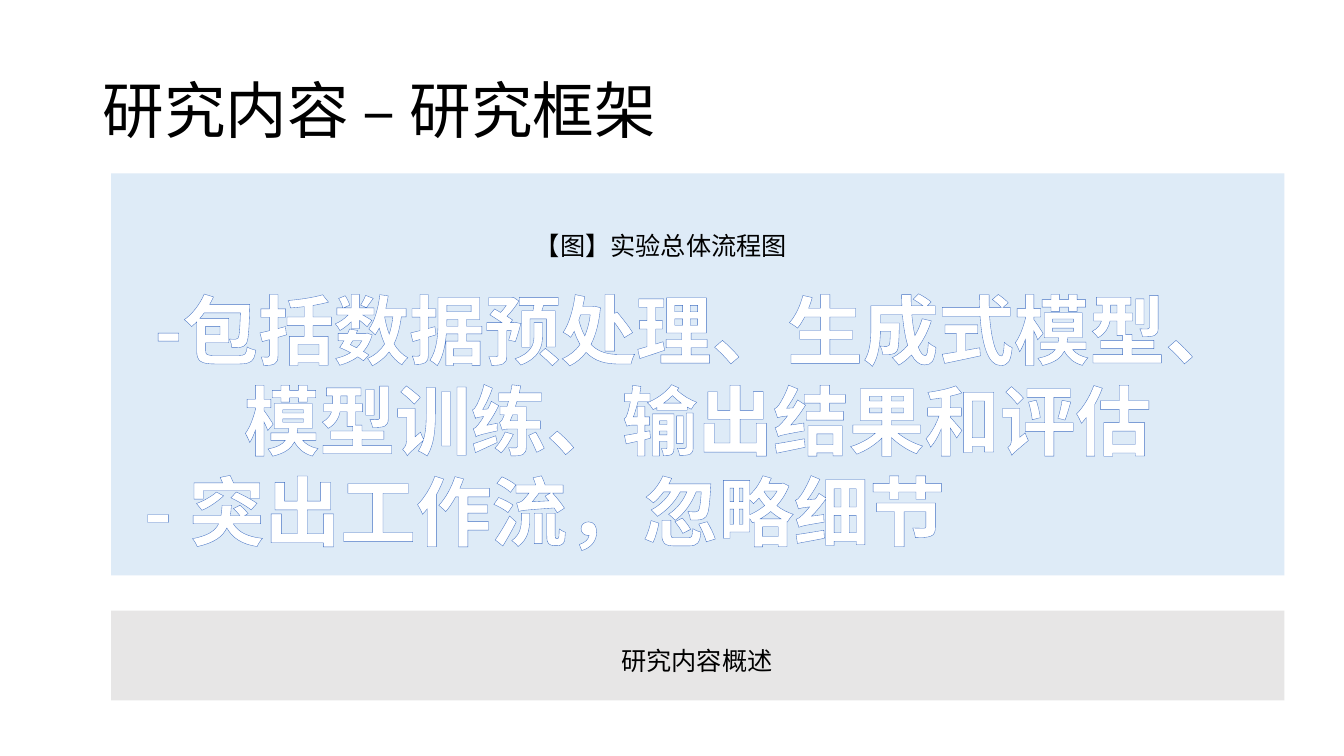
from dataclasses import dataclass

from lxml import etree
from pptx import Presentation
from pptx import util as u
from pptx.dml.color import RGBColor
from pptx.enum import shapes, text
from pptx.oxml import ns


# Colours, font and type sizes
@dataclass(frozen=True)
class Theme:
    font: str = "Noto Sans CJK SC"
    ink: str = "000000"
    white: str = "FFFFFF"
    edge: str = "4472C4"
    blue: str = "DEEBF7"
    grey: str = "E7E6E6"
    head: int = 44
    big: int = 54
    body: int = 18


@dataclass(frozen=True)
class Box:
    left: float
    top: float
    width: float
    height: float

    def area(self) -> tuple:
        return tuple(u.Cm(n) for n in (self.left, self.top, self.width, self.height))


@dataclass(frozen=True)
class Panel:
    box: Box
    fill: str


@dataclass(frozen=True)
class Label:
    box: Box
    words: str


T = Theme()
LEFT, MID = text.PP_ALIGN.LEFT, text.PP_ALIGN.CENTER

# Slide content, in centimetres
HEAD = Label(Box(2.33, 1.02, 29.21, 3.68), "研究内容 – 研究框架")
PANELS = [
    Panel(Box(2.8, 4.37, 29.57, 10.13), T.blue),
    Panel(Box(2.8, 15.39, 29.57, 2.26), T.grey),
]
LABELS = [
    Label(Box(12.4, 5.69, 8.51, 1.02), "【图】实验总体流程图"),
    Label(Box(14.15, 16.13, 6.83, 1.02), "研究内容概述"),
]
STEPS = Box(3.38, 7.01, 28.4, 7.19)
LINES = [
    ("-包括数据预处理、生成式模型、", MID),
    ("模型训练、输出结果和评估", MID),
    ("- 突出工作流，忽略细节", LEFT),
]


def write(para, words: str, size: int = T.body, color: str = T.ink,
          align=MID, bold: bool = False, edge: str = "") -> None:
    """Put formatted text in a paragraph."""
    para.alignment = align
    run = para.add_run()
    run.text = words
    font = run.font
    font.size, font.bold, font.name = u.Pt(size), bold, T.font
    font.color.rgb = RGBColor.from_string(color)
    props = run._r.get_or_add_rPr()
    etree.SubElement(props, ns.qn("a:ea")).set("typeface", T.font)
    if edge:
        line = etree.Element(ns.qn("a:ln"), w=str(u.Pt(0.8)))
        fill = etree.SubElement(line, ns.qn("a:solidFill"))
        etree.SubElement(fill, ns.qn("a:srgbClr")).set("val", edge)
        props.insert(0, line)


def panel(slide, part: Panel) -> None:
    rect = slide.shapes.add_shape(shapes.MSO_SHAPE.RECTANGLE, *part.box.area())
    rect.shadow.inherit = False
    rect.fill.solid()
    rect.fill.fore_color.rgb = RGBColor.from_string(part.fill)
    rect.line.fill.background()


def frame(slide, box: Box, wrap: bool = True):
    body = slide.shapes.add_textbox(*box.area()).text_frame
    body.word_wrap = wrap
    body.auto_size = text.MSO_AUTO_SIZE.SHAPE_TO_FIT_TEXT
    return body


def title(slide, part: Label) -> None:
    shape = slide.shapes.title
    shape.left, shape.top, shape.width, shape.height = part.box.area()
    body = shape.text_frame
    body.vertical_anchor = text.MSO_ANCHOR.MIDDLE
    para = body.paragraphs[0]
    para.line_spacing = 0.9
    write(para, part.words, size=T.head, align=LEFT)


def steps(slide) -> None:
    body = frame(slide, STEPS, wrap=False)
    for i, (words, align) in enumerate(LINES):
        para = body.add_paragraph() if i else body.paragraphs[0]
        write(para, words, size=T.big, color=T.white, align=align,
              bold=True, edge=T.edge)


def main() -> None:
    deck = Presentation()
    deck.slide_width, deck.slide_height = u.Cm(33.87), u.Cm(19.05)
    slide = deck.slides.add_slide(deck.slide_layouts.get_by_name("Title Only"))

    # Title, then panels with their text on top
    title(slide, HEAD)
    for part in PANELS:
        panel(slide, part)
    for part in LABELS:
        write(frame(slide, part.box).paragraphs[0], part.words)
    steps(slide)

    deck.save("out.pptx")


if __name__ == "__main__":
    main()
